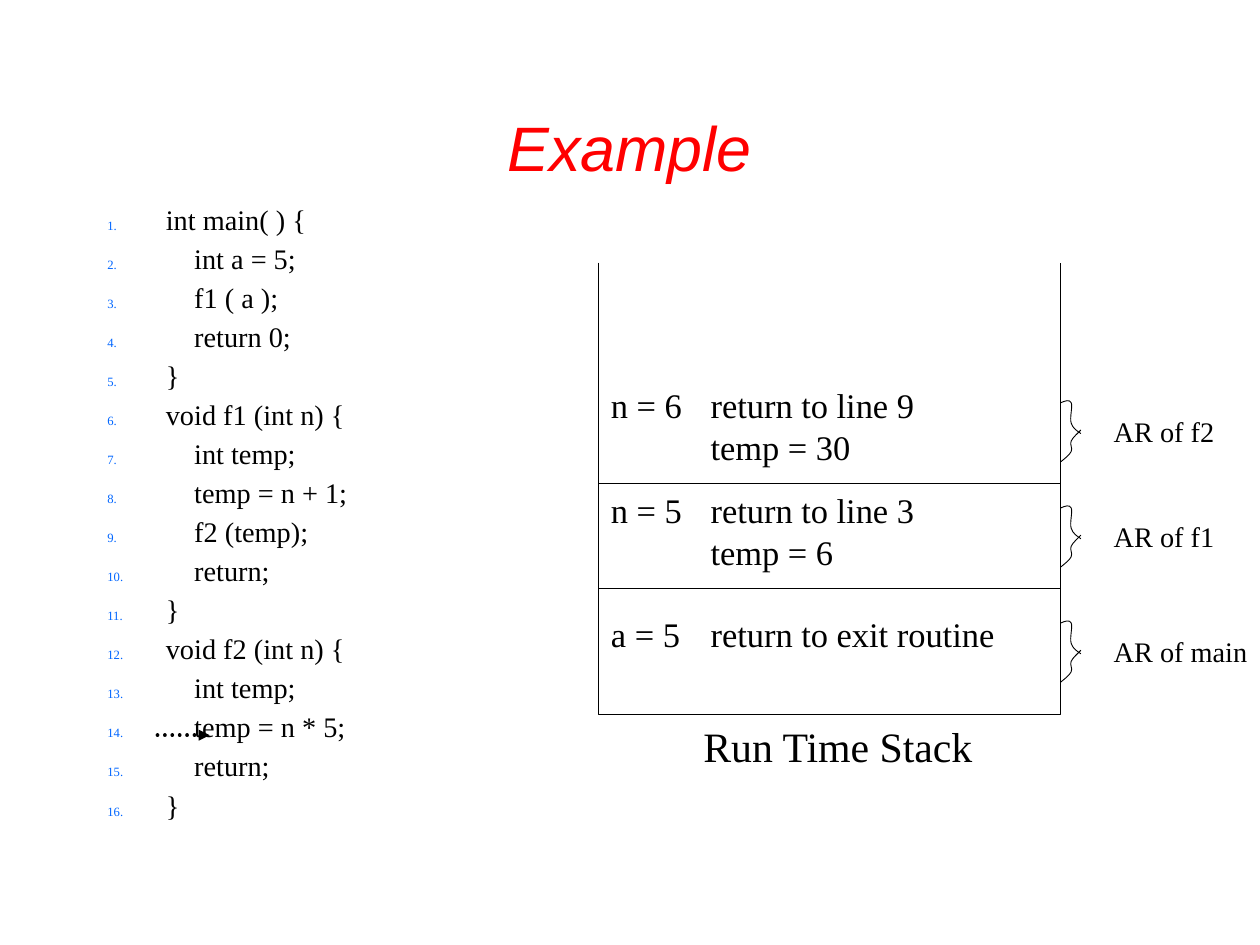
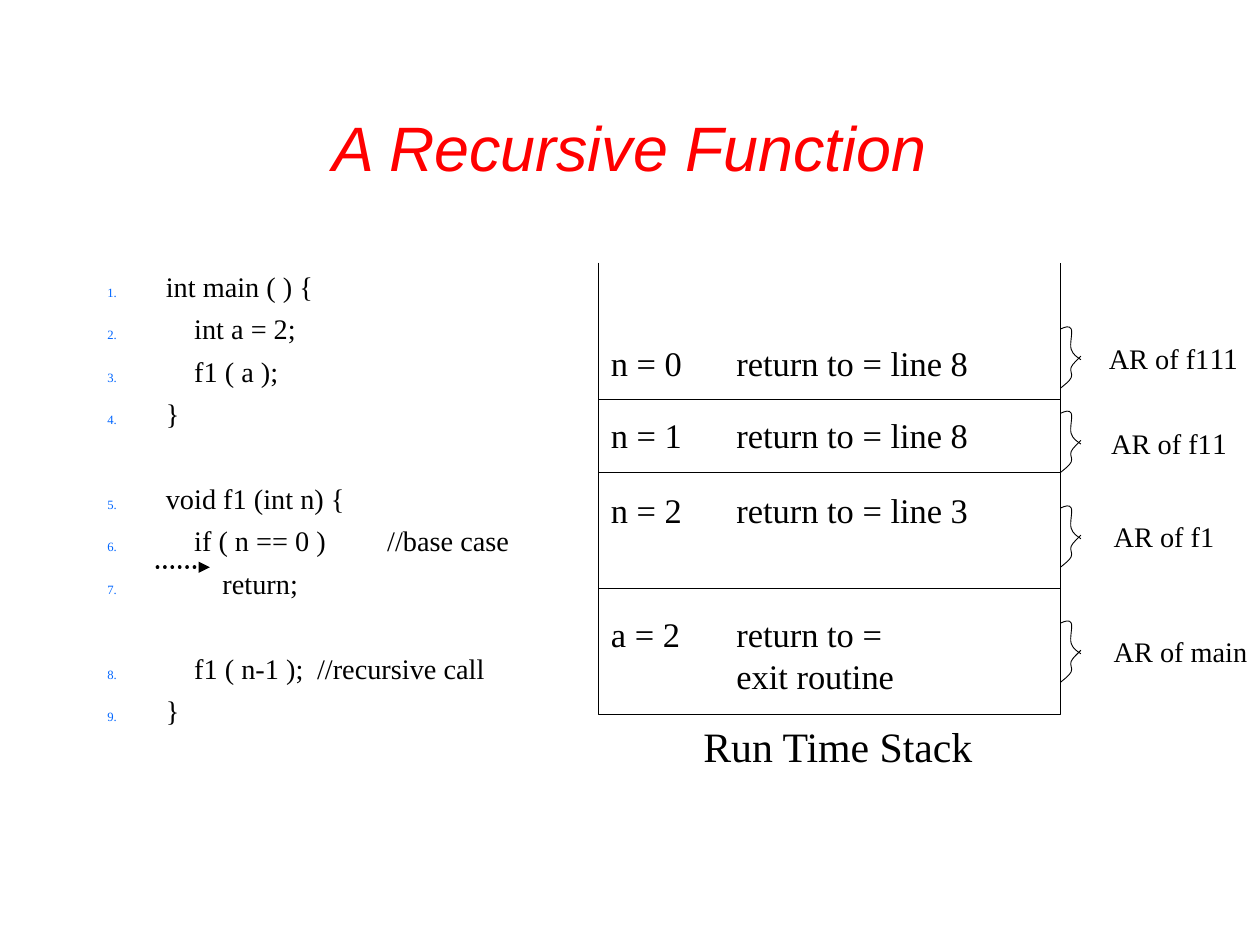
from lxml import etree
from pptx import Presentation
from pptx.dml.color import RGBColor
from pptx.enum import dml, shapes, text
from pptx.oxml import ns
from pptx.util import Pt

COLORS = {"title": "FF0000", "ink": "000000", "number": "0066FF"}
SERIF, SANS = "Times New Roman", "Arial"
CODE_SIZE, STACK_SIZE, CAPTION_SIZE = 23, 28, 34
CODE_INDENT = 47.6
CODE_TABS = (170.5, 227.5)
LINE_GAP = 6.9
STACK_BOX = (486.5, 213.4, 375.5, 367)
BRACE_STROKES = (
    [(16.5, 25), (13.7, 28), (10, 31), (8.6, 34), (7.2, 37), (10, 39.5),
     (8.6, 42.5), (7.2, 45.5), (3.6, 48), (0, 51)],
    [(16.5, 28), (13.7, 26), (10, 24), (8.6, 19.5), (7.2, 15), (10, 6),
     (8.6, 3), (7.2, 0), (3.6, 1.4), (0, 3)],
)


def rgb(name):
    return RGBColor.from_string(COLORS[name])


def child(parent, tag, **attrs):
    el = etree.SubElement(parent, ns.qn(tag))
    for key, value in attrs.items():
        el.set(key, str(value))
    return el


def add_tabs(p, stops):
    tabs = child(p._p.get_or_add_pPr(), "a:tabLst")
    for stop in stops:
        child(tabs, "a:tab", pos=Pt(stop), algn="l")


def write(p, txt, size=CODE_SIZE, font=SERIF, color="ink", italic=False,
          align=text.PP_ALIGN.LEFT):
    p.alignment = align
    r = p.add_run()
    r.text = txt
    r.font.size, r.font.name, r.font.italic = Pt(size), font, italic
    r.font.color.rgb = rgb(color)


def frame_text(sp, margins, anchor=text.MSO_ANCHOR.TOP, wrap=True):
    tf = sp.text_frame
    tf.margin_left = tf.margin_right = Pt(margins[0])
    tf.margin_top = tf.margin_bottom = Pt(margins[1])
    tf.vertical_anchor = anchor
    tf.word_wrap = wrap
    tf.auto_size = text.MSO_AUTO_SIZE.NONE
    return tf


def add_text(parent, box, lines, margins=(10, 5), tabs=(), wrap=True, **fmt):
    sp = parent.shapes.add_textbox(*map(Pt, box))
    tf = frame_text(sp, margins, wrap=wrap)
    for i, line in enumerate(lines):
        p = tf.add_paragraph() if i else tf.paragraphs[0]
        write(p, line, **fmt)
        if tabs:
            add_tabs(p, tabs)
    return tf


def add_line(s, x1, y1, x2, y2, width=0.75):
    ln = s.shapes.add_connector(shapes.MSO_CONNECTOR.STRAIGHT,
                                *map(Pt, (x1, y1, x2, y2)))
    ln.line.color.rgb = rgb("ink")
    ln.line.width = Pt(width)
    child(ln._element.spPr, "a:effectLst")
    return ln


def add_outline(parent, points):
    start, *rest = [(Pt(x), Pt(y)) for x, y in points]
    fb = parent.shapes.build_freeform(*start)
    fb.add_line_segments(rest, close=False)
    sp = fb.convert_to_shape()
    sp.shadow.inherit = False
    sp.fill.background()
    sp.line.color.rgb = rgb("ink")
    sp.line.width = Pt(0.75)
    return sp


def bend(sp):
    segments = list(sp._element.iter(ns.qn("a:lnTo")))
    outline = segments[0].getparent()
    for i in range(0, len(segments), 3):
        cubic = child(outline, "a:cubicBezTo")
        for seg in segments[i:i + 3]:
            cubic.append(seg[0])
            outline.remove(seg)


def add_title(s, txt):
    sp = s.shapes.title
    sp.left, sp.top, sp.width, sp.height = map(Pt, (204.5, 51, 614, 102.5))
    tf = frame_text(sp, (4, 4), text.MSO_ANCHOR.BOTTOM)
    write(tf.paragraphs[0], txt, size=51, font=SANS, color="title", italic=True,
          align=text.PP_ALIGN.CENTER)


def add_code(s, box, lines, spacing):
    tf = frame_text(s.shapes.add_textbox(*map(Pt, box)), (10, 5))
    p, gap = tf.paragraphs[0], 0
    for line in lines:
        if not line:
            gap += CODE_SIZE * 1.2 * spacing + LINE_GAP
            continue
        if p.runs:
            p = tf.add_paragraph()
        code = line.lstrip()
        level = (len(line) - len(code)) // 4
        write(p, code)
        p.line_spacing = spacing
        p.space_before = Pt(gap)
        gap = LINE_GAP
        pPr = p._p.get_or_add_pPr()
        indent = Pt(CODE_INDENT + level * CODE_SIZE)
        pPr.set("marL", str(indent))
        pPr.set("indent", str(-indent))
        child(child(pPr, "a:buClr"), "a:srgbClr", val=COLORS["number"])
        child(pPr, "a:buSzPct", val=45000)
        child(pPr, "a:buFont", typeface=SERIF)
        child(pPr, "a:buAutoNum", type="arabicPeriod")
        if "\t" in code:
            add_tabs(p, CODE_TABS)


def add_pointer(s, y):
    ln = add_line(s, 128, y, 170.5, y, width=3)
    ln.line.dash_style = dml.MSO_LINE.ROUND_DOT
    outline = ln.line._get_or_add_ln()
    outline.set("cap", "rnd")
    child(outline, "a:tailEnd", type="triangle")


def add_record_label(s, x, y, label, depth, label_x):
    g = s.shapes.add_group_shape()
    for stroke in BRACE_STROKES:
        bend(add_outline(g, [(x + dx, y + dy) for dx, dy in stroke]))
    width = 125 if label.endswith("main") else 97 + 12 * len(depth)
    tf = add_text(g, (x + label_x, y + 8.6, width, 35.5), [label],
                  margins=(7.2, 3.6), wrap=False)
    if depth:
        write(tf.paragraphs[0], depth, size=24)


def add_stack(s, box, records, separators, tab):
    x, y, w, h = box
    add_text(s, (x + 74.5, y + h, 240, 51), ["Run Time Stack"], wrap=False,
             size=CAPTION_SIZE, align=text.PP_ALIGN.CENTER)
    add_outline(s, [(x, y), (x, y + h), (x + w, y + h), (x + w, y)])
    for sep in separators:
        add_line(s, x, y + sep, x + w, y + sep)
    for top, lines, brace_top, label, depth, label_x in records:
        add_text(s, (x, y + top, w, 12 + 33 * len(lines)), lines,
                 size=STACK_SIZE, tabs=(tab,))
        add_record_label(s, x + w, y + brace_top, label, depth, label_x)


SLIDES = [
    dict(
        title="Example",
        code_box=(77.2, 162.5, 870.5, 461), spacing=0.9,
        code=["int main( ) {", "    int a = 5;", "    f1 ( a );", "    return 0;", "}",
              "void f1 (int n) {", "    int temp;", "    temp = n + 1;",
              "    f2 (temp);", "    return;", "}",
              "void f2 (int n) {", "    int temp;", "    temp = n * 5;",
              "    return;", "}"],
        pointer=597.5, tab=81, separators=(179.3, 264.7),
        records=[
            (280, ["a = 5\treturn to exit routine"], 290, "AR of main", "", 36),
            (179.3, ["n = 5\treturn to line 3", "\ttemp = 6"], 196.5, "AR of f1", "", 36),
            (94, ["n = 6\treturn to line 9", "\ttemp = 30"], 111, "AR of f2", "", 36),
        ]),
    dict(
        title="A Recursive Function",
        code_box=(77.2, 213.7, 870.5, 426), spacing=1.0,
        code=["int main ( ) {", "    int a = 2;", "    f1 ( a );", "}", "",
              "void f1 (int n) {", "    if ( n == 0 )\t//base case",
              "        return;", "", "    f1 ( n-1 );\t//recursive call", "}"],
        pointer=461, tab=102, separators=(111, 170.7, 264.7),
        records=[
            (280, ["a = 2\treturn to =", "\texit routine"], 290, "AR of main", "", 36),
            (179.3, ["n = 2\treturn to = line 3"], 196.5, "AR of f1", "", 36),
            (117.8, ["n = 1\treturn to = line 8"], 119.5, "AR of f1", "1", 34),
            (59.7, ["n = 0\treturn to = line 8"], 51, "AR of f1", "11", 32),
        ]),
]


def main():
    prs = Presentation()
    prs.slide_width, prs.slide_height = Pt(1024), Pt(768)
    for d in SLIDES:
        s = prs.slides.add_slide(prs.slide_layouts[5])
        add_title(s, d["title"])
        add_code(s, d["code_box"], d["code"], d["spacing"])
        add_stack(s, STACK_BOX, d["records"], d["separators"], d["tab"])
        add_pointer(s, d["pointer"])
    prs.save("out.pptx")


if __name__ == "__main__":
    main()
